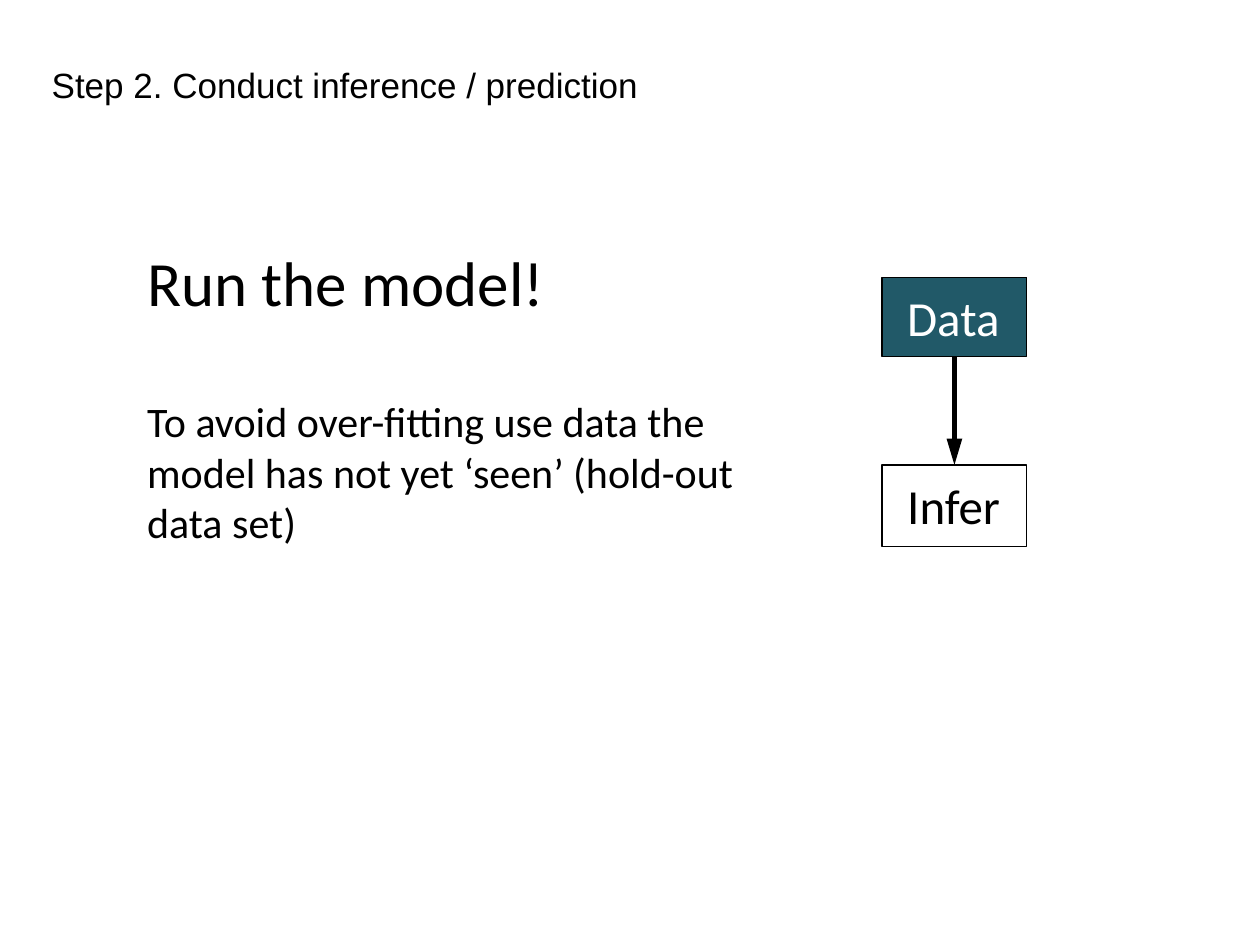
from dataclasses import dataclass

from lxml.etree import SubElement
from pptx import Presentation
from pptx.dml.color import RGBColor
from pptx.enum.shapes import MSO_CONNECTOR, MSO_SHAPE
from pptx.enum.text import MSO_ANCHOR, MSO_AUTO_SIZE, PP_ALIGN
from pptx.oxml.ns import qn
from pptx.util import Inches, Pt


@dataclass(frozen=True)
class Theme:
    """Colours, fonts and type sizes of the slide."""
    black: RGBColor = RGBColor(0, 0, 0)
    white: RGBColor = RGBColor(255, 255, 255)
    teal: RGBColor = RGBColor(0x21, 0x59, 0x68)
    title_font: str = "Arial"
    body_font: str = "Calibri"
    title_size: int = 20
    lead_size: int = 36
    detail_size: int = 24
    step_size: int = 28


THEME = Theme()


def write(paragraph, text, font, size, color):
    """Set a left-aligned paragraph's text and format its runs."""
    paragraph.text = text
    paragraph.alignment = PP_ALIGN.LEFT
    for run in paragraph.runs:
        run.font.name = font
        run.font.size = Pt(size)
        run.font.color.rgb = color


def add_title(slide, text):
    """Place the title in the slide's title placeholder."""
    title = slide.shapes.title
    title.left, title.top = Inches(0.31), Inches(0.45)
    title.width, title.height = Inches(5.32), Inches(0.44)
    frame = title.text_frame
    frame.word_wrap = False
    frame.auto_size = MSO_AUTO_SIZE.NONE
    frame.vertical_anchor = MSO_ANCHOR.TOP
    write(frame.paragraphs[0], text, THEME.title_font, THEME.title_size, THEME.black)


def add_message(slide, lead, detail):
    """Add the large lead line with the smaller advice below it."""
    message = slide.shapes.add_textbox(Inches(1.07), Inches(1.88), Inches(5.33), Inches(2.52))
    frame = message.text_frame
    frame.word_wrap = True
    write(frame.paragraphs[0], lead, THEME.body_font, THEME.lead_size, THEME.black)
    advice = frame.add_paragraph()
    write(advice, detail, THEME.body_font, THEME.detail_size, THEME.black)
    advice.space_before = Pt(44)


def add_step(slide, text, top, height, color, fill=None):
    """Add one labelled box of the flow, filled when a colour is given."""
    step = slide.shapes.add_shape(
        MSO_SHAPE.RECTANGLE, Inches(7), Inches(top), Inches(1.15), Inches(height))
    step.shadow.inherit = False
    if fill is None:
        step.fill.background()
    else:
        step.fill.solid()
        step.fill.fore_color.rgb = fill
    step.line.color.rgb = THEME.black
    step.line.width = Pt(0.75)
    frame = step.text_frame
    frame.word_wrap = False
    frame.vertical_anchor = MSO_ANCHOR.TOP
    frame.margin_left = frame.margin_right = Inches(0.2)
    frame.margin_top = frame.margin_bottom = Inches(0.08)
    write(frame.paragraphs[0], text, THEME.body_font, THEME.step_size, color)
    return step


def add_arrow(slide, source, target):
    """Join the bottom of one step to the top of the next with an arrow."""
    arrow = slide.shapes.add_connector(MSO_CONNECTOR.STRAIGHT, 0, 0, 0, 0)
    arrow.begin_connect(source, 2)
    arrow.end_connect(target, 0)
    arrow.line.color.rgb = THEME.black
    arrow.line.width = Pt(3)
    properties = arrow.element.spPr
    SubElement(properties.find(qn("a:ln")), qn("a:tailEnd"), type="triangle", w="med", len="lg")
    SubElement(properties, qn("a:effectLst"))


def main():
    """Build the slide and save it."""
    presentation = Presentation()
    presentation.slide_width, presentation.slide_height = Inches(10), Inches(7.5)
    slide = presentation.slides.add_slide(presentation.slide_layouts[5])
    add_title(slide, "Step 2. Conduct inference / prediction")
    add_message(
        slide, "Run the model!",
        "To avoid over-fitting use data the model has not yet ‘seen’ (hold-out data set)")
    infer = add_step(slide, "Infer", 3.69, 0.65, THEME.black)
    data = add_step(slide, "Data", 2.2, 0.63, THEME.white, THEME.teal)
    add_arrow(slide, data, infer)
    presentation.save("out.pptx")


if __name__ == "__main__":
    main()
